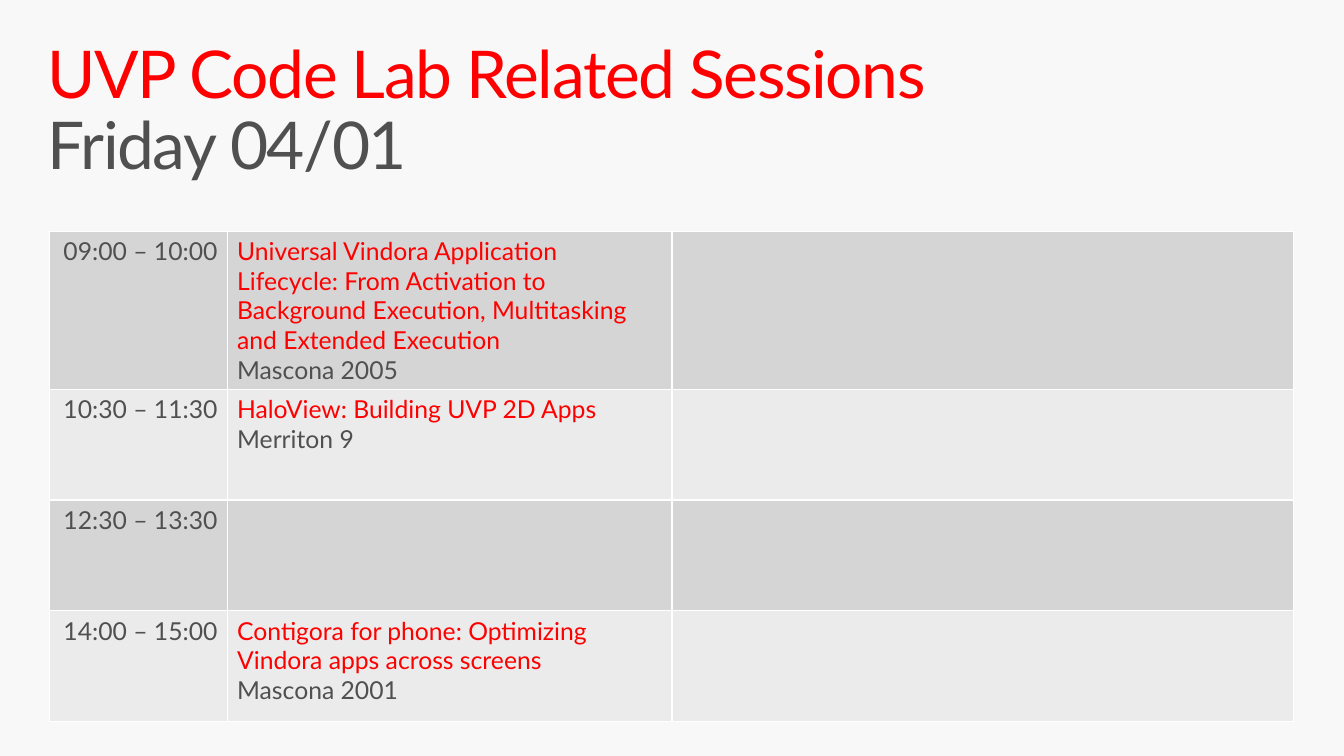
from dataclasses import dataclass

from lxml.etree import SubElement
from pptx import Presentation
from pptx.dml.color import RGBColor
from pptx.enum.text import MSO_ANCHOR, PP_ALIGN
from pptx.oxml.ns import qn
from pptx.util import Inches, Pt


@dataclass(frozen=True)
class Theme:
    """Colours and type sizes of the slide."""
    background: str = "F8F8F8"
    accent: str = "FF0000"
    body: str = "505050"
    border: str = "FFFFFF"
    bands: tuple = ("D5D5D5", "EBEBEB")
    font: str = "Lato"
    title_size: int = 48
    table_size: int = 18


THEME = Theme()
SLIDE_WIDTH, SLIDE_HEIGHT = 13.6, 7.65
TITLE_BOX = (0.32, 0.32, 13, 1)
TABLE_BOX = (0.5, 2.34, 12.59, 4.96)
COLUMN_WEIGHTS = (1.8, 4.5, 6.29)
ROW_WEIGHTS = (1.6, 1.12, 1.12, 1.12)
SESSIONS = [
    ("09:00 – 10:00", "Universal Vindora Application Lifecycle: From Activation to "
     "Background Execution, Multitasking and Extended Execution", "Mascona 2005"),
    ("10:30 – 11:30", "HaloView: Building UVP 2D Apps", "Merriton 9"),
    ("12:30 – 13:30", "", ""),
    ("14:00 – 15:00", "Contigora for phone: Optimizing Vindora apps across screens",
     "Mascona 2001"),
]


def add_run(paragraph, text, size, color):
    """Add one styled run and return it."""
    run = paragraph.add_run()
    run.text = text
    run.font.name = THEME.font
    run.font.size = Pt(size)
    run.font.color.rgb = RGBColor.from_string(color)
    return run


def add_title(slide, box, heading, day):
    """Place the two-line title in the given box."""
    shape = slide.shapes.add_textbox(*map(Inches, box))
    frame = shape.text_frame
    frame.word_wrap = True
    frame.vertical_anchor = MSO_ANCHOR.TOP
    frame.margin_left = frame.margin_right = Inches(0.16)
    frame.margin_top = frame.margin_bottom = Inches(0.1)
    paragraph = frame.paragraphs[0]
    paragraph.line_spacing = 0.9
    heading_run = add_run(paragraph, heading, THEME.title_size, THEME.accent)
    paragraph.add_line_break()
    day_run = add_run(paragraph, day, THEME.title_size, THEME.body)
    for run in (heading_run, day_run):
        run.font._element.set("spc", "-100")


def style_cell(cell, fill):
    """Give a cell thin borders and a solid fill."""
    properties = cell._tc.get_or_add_tcPr()
    for side in ("a:lnL", "a:lnR", "a:lnT", "a:lnB"):
        line = SubElement(properties, qn(side), w=str(Pt(1)))
        SubElement(SubElement(line, qn("a:solidFill")), qn("a:srgbClr"), val=THEME.border)
    cell.fill.solid()
    cell.fill.fore_color.rgb = RGBColor.from_string(fill)


def add_schedule(slide, box, sessions):
    """Place the session table in the given box."""
    width, height = box[2:]
    table = slide.shapes.add_table(
        len(sessions), len(COLUMN_WEIGHTS), *map(Inches, box)).table
    table.first_row = table.horz_banding = False
    for column, weight in zip(table.columns, COLUMN_WEIGHTS):
        column.width = Inches(width * weight / sum(COLUMN_WEIGHTS))
    for index, (row, weight) in enumerate(zip(table.rows, ROW_WEIGHTS)):
        row.height = Inches(height * weight / sum(ROW_WEIGHTS))
        for cell in row.cells:
            style_cell(cell, THEME.bands[index % 2])
        time, topic, room = sessions[index]
        time_paragraph = row.cells[0].text_frame.paragraphs[0]
        time_paragraph.alignment = PP_ALIGN.RIGHT
        add_run(time_paragraph, time, THEME.table_size, THEME.body)
        if topic:
            frame = row.cells[1].text_frame
            add_run(frame.paragraphs[0], topic, THEME.table_size, THEME.accent)
            add_run(frame.add_paragraph(), room, THEME.table_size, THEME.body)


def main():
    """Build the slide and save it."""
    presentation = Presentation()
    presentation.slide_width = Inches(SLIDE_WIDTH)
    presentation.slide_height = Inches(SLIDE_HEIGHT)
    slide = presentation.slides.add_slide(presentation.slide_layouts[6])
    slide.background.fill.solid()
    slide.background.fill.fore_color.rgb = RGBColor.from_string(THEME.background)
    add_title(slide, TITLE_BOX, "UVP Code Lab Related Sessions", "Friday 04/01")
    add_schedule(slide, TABLE_BOX, SESSIONS)
    presentation.save("out.pptx")


if __name__ == "__main__":
    main()
